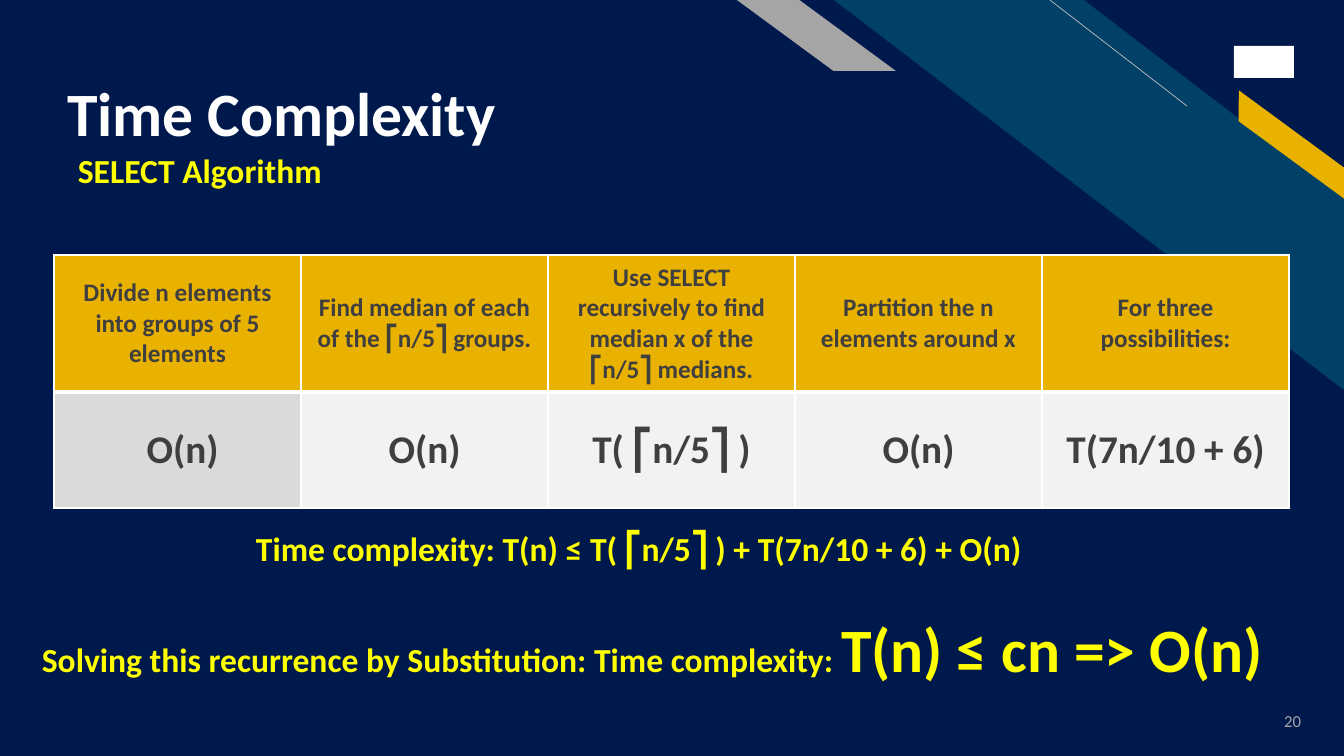
from lxml import etree
from pptx import Presentation
from pptx import util as u
from pptx.dml.color import RGBColor
from pptx.enum import shapes, text
from pptx.oxml import ns

NAVY = RGBColor(0x00, 0x19, 0x4C)
TEAL = RGBColor(0x01, 0x40, 0x67)
GOLD = RGBColor(0xEA, 0xB2, 0x00)
GRAY = RGBColor(0xA5, 0xA5, 0xA5)
SILVER = RGBColor(0xBF, 0xBF, 0xBF)
WHITE = RGBColor(0xFF, 0xFF, 0xFF)
YELLOW = RGBColor(0xFF, 0xFF, 0x00)
DARK = RGBColor(0x3F, 0x3F, 0x3F)
FIRST_CELL = RGBColor(0xDA, 0xDA, 0xDA)
PALE_CELL = RGBColor(0xF2, 0xF2, 0xF2)

FONT = "Calibri"
PX_PER_INCH = 100.8
STEPS = [
    ("Divide n elements into groups of 5 elements", "O(n)"),
    ("Find median of each of the ⎡n/5⎤ groups.", "O(n)"),
    ("Use SELECT recursively to find median x of the ⎡n/5⎤ medians.", "T( ⎡n/5⎤ )"),
    ("Partition the n elements around x", "O(n)"),
    ("For three possibilities:", "T(7n/10 + 6)"),
]
COLUMN_WIDTH = 247
ROW_HEIGHTS = (137, 116)


def px(*lengths):
    """Turn pixel lengths into a list of EMU lengths."""
    return [u.Inches(length / PX_PER_INCH) for length in lengths]


def format_run(run, size, color, bold=True):
    """Set the font of one run."""
    font = run.font
    font.name, font.size, font.bold = FONT, u.Pt(size), bold
    font.color.rgb = color


def add_preset(slide, kind, box, color, adjustment=None, rotation=0):
    """Add a plain filled shape; one with an adjustment is mirrored."""
    shape = slide.shapes.add_shape(kind, *px(*box))
    shape.shadow.inherit = False
    shape.fill.solid()
    shape.fill.fore_color.rgb = color
    shape.line.fill.background()
    shape.rotation = rotation
    if adjustment is not None:
        shape.adjustments[0] = adjustment
        shape._element.spPr.xfrm.set("flipH", "1")


def add_thin_line(slide, start, end):
    """Add the thin diagonal line."""
    line = slide.shapes.add_connector(shapes.MSO_CONNECTOR.STRAIGHT, *px(*start, *end))
    line.line.color.rgb = SILVER
    line.line.width = u.Pt(0.5)
    etree.SubElement(line._element.spPr, ns.qn("a:effectLst"))


def add_title(slide, title_text):
    """Fill and place the title placeholder."""
    title = slide.shapes.title
    title.left, title.top, title.width, title.height = px(57, 23, 918, 127)
    frame = title.text_frame
    frame.text = title_text
    frame.vertical_anchor = text.MSO_ANCHOR.BOTTOM
    frame.margin_bottom = 0
    paragraph = frame.paragraphs[0]
    paragraph.alignment = text.PP_ALIGN.LEFT
    paragraph.line_spacing = 0.9
    format_run(paragraph.runs[0], 44, WHITE)


def add_statement(slide, box, *parts):
    """Add a yellow line of text made of (words, size) parts."""
    frame = slide.shapes.add_textbox(*px(*box)).text_frame
    frame.word_wrap = True
    paragraph = frame.paragraphs[0]
    paragraph.line_spacing = 0.9
    paragraph.space_before = u.Pt(10)
    for words, size in parts:
        run = paragraph.add_run()
        run.text = words
        format_run(run, size, YELLOW)


def add_page_number(slide, number):
    """Add the page number at the lower right."""
    frame = slide.shapes.add_textbox(*px(1229, 701, 82, 40)).text_frame
    frame.word_wrap = True
    frame.text = number
    frame.vertical_anchor = text.MSO_ANCHOR.MIDDLE
    paragraph = frame.paragraphs[0]
    paragraph.alignment = text.PP_ALIGN.RIGHT
    format_run(paragraph.runs[0], 12, GRAY, bold=False)


def set_borders(cell, widths):
    """Draw white borders, with widths in points for left, right, top, bottom."""
    properties = cell._tc.get_or_add_tcPr()
    for index, (side, width) in enumerate(zip("LRTB", widths)):
        border = etree.Element(ns.qn(f"a:ln{side}"), w=str(u.Pt(width)))
        fill = etree.SubElement(border, ns.qn("a:solidFill"))
        etree.SubElement(fill, ns.qn("a:srgbClr"), val=str(WHITE))
        properties.insert(index, border)


def fill_cell(cell, words, size, color, borders):
    """Write and format one table cell."""
    cell.text = words
    cell.vertical_anchor = text.MSO_ANCHOR.MIDDLE
    cell.margin_left = cell.margin_right = u.Inches(0.11)
    cell.margin_top = cell.margin_bottom = u.Inches(0.05)
    cell.fill.solid()
    cell.fill.fore_color.rgb = color
    set_borders(cell, borders)
    paragraph = cell.text_frame.paragraphs[0]
    paragraph.alignment = text.PP_ALIGN.CENTER
    format_run(paragraph.runs[0], size, DARK)


def add_cost_table(slide):
    """Add the table of steps and their costs."""
    box = px(54, 255, COLUMN_WIDTH * len(STEPS), sum(ROW_HEIGHTS))
    table = slide.shapes.add_table(len(ROW_HEIGHTS), len(STEPS), *box).table
    for row, height in zip(table.rows, px(*ROW_HEIGHTS)):
        row.height = height
    for index, (step, cost) in enumerate(STEPS):
        table.columns[index].width = px(COLUMN_WIDTH)[0]
        color = PALE_CELL if index else FIRST_CELL
        fill_cell(table.cell(0, index), step, 18, GOLD, (1, 1, 1, 3))
        fill_cell(table.cell(1, index), cost, 28, color, (1, 1, 3, 1))
    table.cell(1, 0).margin_left = u.Inches(0.21)


def main():
    """Build the slide and save it."""
    presentation = Presentation()
    presentation.slide_width, presentation.slide_height = px(1344, 756)
    slide = presentation.slides.add_slide(presentation.slide_layouts[5])
    slide.background.fill.solid()
    slide.background.fill.fore_color.rgb = NAVY

    kinds = shapes.MSO_SHAPE
    add_preset(slide, kinds.RECTANGLE, (1234, 46, 60, 32), WHITE)
    add_preset(slide, kinds.DIAGONAL_STRIPE, (834, 0, 510, 390), TEAL, 0.51)
    add_thin_line(slide, (1187, 106), (1050, 0))
    add_preset(slide, kinds.PARALLELOGRAM, (1217, 132, 149, 25), GOLD, 0.72, 36.3)
    add_preset(slide, kinds.PARALLELOGRAM, (737, 0, 159, 71), GRAY, 1.36)

    add_title(slide, "Time Complexity")
    add_cost_table(slide)
    add_page_number(slide, "20")
    add_statement(slide, (68, 149, 604, 86), ("SELECT Algorithm", 24))
    add_statement(
        slide, (246, 527, 967, 86),
        ("Time complexity: T(n) ≤ T( ⎡n/5⎤ ) + T(7n/10 + 6) + O(n)", 24),
    )
    add_statement(
        slide, (32, 614, 1255, 86),
        ("Solving this recurrence by Substitution: Time complexity: ", 24),
        ("T(n) ≤ cn => O(n)", 44),
    )
    presentation.save("out.pptx")


if __name__ == "__main__":
    main()
